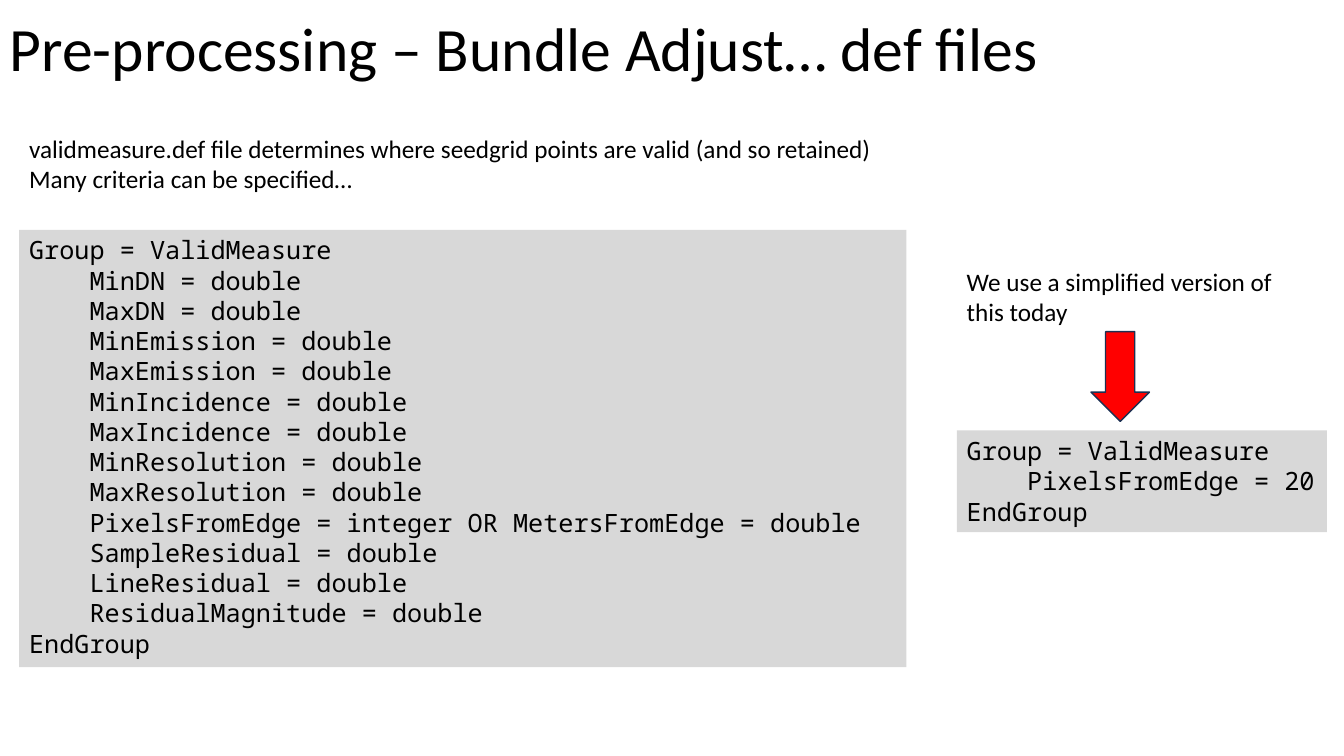
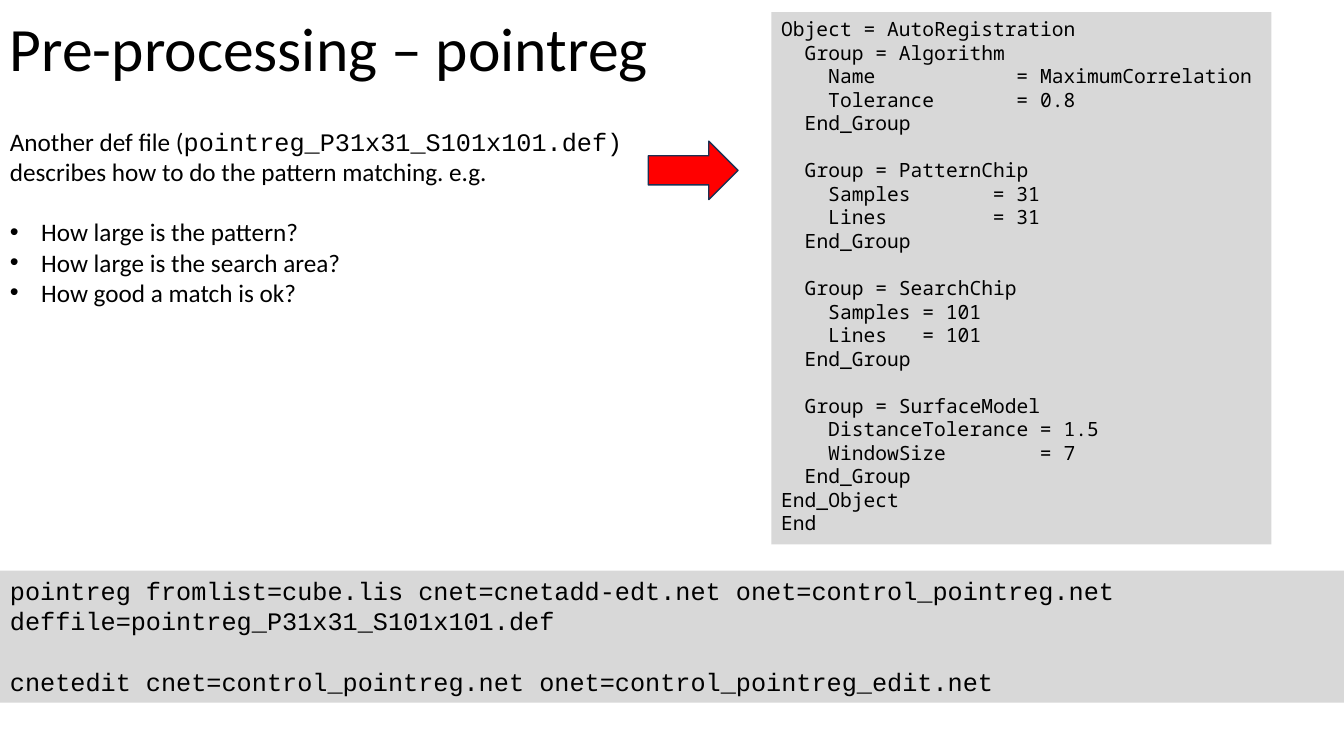
from lxml import etree
from pptx import Presentation
from pptx.dml.color import RGBColor
from pptx.enum.shapes import MSO_SHAPE
from pptx.enum.text import MSO_ANCHOR, PP_ALIGN
from pptx.oxml.ns import qn
from pptx.util import Inches, Pt

RECT = MSO_SHAPE.RECTANGLE
DOWN = MSO_SHAPE.DOWN_ARROW
RIGHT = MSO_SHAPE.RIGHT_ARROW
MIDDLE = MSO_ANCHOR.MIDDLE
TOP = MSO_ANCHOR.TOP
LEFT = PP_ALIGN.LEFT

BLACK = RGBColor(0x00, 0x00, 0x00)
GRAY = RGBColor(0xD8, 0xD8, 0xD8)
RED = RGBColor(0xFF, 0x00, 0x00)
NAVY = RGBColor(0x1C, 0x30, 0x52)

SANS = "Calibri"
MONO = "Noto Sans Mono"
TYPED = "Courier New"
WIDE = 13.33
BODY = 18
SMALL = 14
LEAD = 1.2
GLYPH = 0.6

LIMITS = [
    "MinDN = double",
    "MaxDN = double",
    "MinEmission = double",
    "MaxEmission = double",
    "MinIncidence = double",
    "MaxIncidence = double",
    "MinResolution = double",
    "MaxResolution = double",
    "PixelsFromEdge = integer OR MetersFromEdge = double",
    "SampleResidual = double",
    "LineResidual = double",
    "ResidualMagnitude = double",
]

GROUPS = [
    ("Algorithm", 20, [("Name", "MaximumCorrelation"), ("Tolerance", "0.8")]),
    ("PatternChip", 18, [("Samples", "31"), ("Lines", "31")]),
    ("SearchChip", 12, [("Samples", "101"), ("Lines", "101")]),
    ("SurfaceModel", 22, [("DistanceTolerance", "1.5"), ("WindowSize", "7")]),
]


def add_text(frame, text, size=BODY, font=SANS, gap=0, line=None,
             bullet=False, stops=()):
    para = frame.paragraphs[0]
    if para.runs:
        para = frame.add_paragraph()
    para.alignment = LEFT
    para.space_before = Pt(gap)
    if line:
        para.line_spacing = line
    runs = [(text, font)] if isinstance(text, str) else text
    for words, face in runs:
        run = para.add_run()
        run.text = words
        run.font.size = Pt(size)
        run.font.name = face
        run.font.color.rgb = BLACK
    props = para._p.get_or_add_pPr()
    if bullet:
        props.set("marL", str(Inches(0.31)))
        props.set("indent", str(-Inches(0.31)))
        etree.SubElement(props, qn("a:buFont"), typeface="Arial")
        etree.SubElement(props, qn("a:buChar"), char="•")
    if stops:
        tabs = etree.SubElement(props, qn("a:tabLst"))
        for col in stops:
            place = Pt(col * size * GLYPH)
            etree.SubElement(tabs, qn("a:tab"), pos=str(place), algn="l")


def add_box(slide, x, y, w, h, anchor=TOP):
    box = slide.shapes.add_textbox(Inches(x), Inches(y), Inches(w), Inches(h))
    frame = box.text_frame
    frame.word_wrap = True
    frame.vertical_anchor = anchor
    return frame


def add_shape(slide, kind, x, y, w, h, fill):
    shape = slide.shapes.add_shape(
        kind, Inches(x), Inches(y), Inches(w), Inches(h))
    shape.shadow.inherit = False
    shape.fill.solid()
    shape.fill.fore_color.rgb = fill
    return shape


def add_panel(slide, x, y, w, h):
    panel = add_shape(slide, RECT, x, y, w, h, GRAY)
    panel.line.fill.background()
    frame = panel.text_frame
    frame.word_wrap = True
    frame.vertical_anchor = TOP
    return frame


def add_arrow(slide, kind, x, y, w, h):
    arrow = add_shape(slide, kind, x, y, w, h, RED)
    arrow.line.color.rgb = NAVY
    arrow.line.width = Pt(1)


def add_slide(deck, title):
    slide = deck.slides.add_slide(deck.slide_layouts[6])
    frame = add_box(slide, 0, 0, WIDE, 1.03, MIDDLE)
    add_text(frame, title, size=44, line=0.9)
    return slide


def add_group(frame, lines):
    add_text(frame, "Group = ValidMeasure", font=MONO)
    for line in lines:
        add_text(frame, "\t" + line, font=MONO, stops=(4,))
    add_text(frame, "EndGroup", font=MONO)


def add_object(frame):
    code = {"size": SMALL, "font": MONO}
    add_text(frame, "Object = AutoRegistration", **code)
    for rank, (name, col, pairs) in enumerate(GROUPS):
        gap = SMALL * LEAD if rank else 0
        add_text(frame, f"\tGroup = {name}", gap=gap, stops=(2,), **code)
        for key, value in pairs:
            add_text(frame, f"\t\t{key}\t= {value}", stops=(2, 4, col), **code)
        add_text(frame, "\tEnd_Group", stops=(2,), **code)
    for line in ("End_Object", "End"):
        add_text(frame, line, **code)


def draw_valid(deck):
    slide = add_slide(deck, "Pre-processing – Bundle Adjust… def files")
    intro = add_box(slide, 0.19, 1.27, 8.65, 1.01)
    add_text(intro, "validmeasure.def file determines where seedgrid points "
                    "are valid (and so retained)")
    add_text(intro, "Many criteria can be specified…")
    add_group(add_panel(slide, 9.49, 4.27, 3.67, 1.01),
              ["PixelsFromEdge = 20"])
    add_group(add_panel(slide, 0.19, 2.28, 8.8, 4.34), LIMITS)
    note = add_box(slide, 9.49, 2.59, 3.24, 0.71)
    add_text(note, "We use a simplified version of this today")
    add_arrow(slide, DOWN, 10.82, 3.29, 0.58, 0.89)


def draw_match(deck):
    slide = add_slide(deck, "Pre-processing – pointreg")
    shell = add_panel(slide, 0, 5.66, WIDE, 1.31)
    add_text(shell, "pointreg fromlist=cube.lis cnet=cnetadd-edt.net "
                    "onet=control_pointreg.net "
                    "deffile=pointreg_P31x31_S101x101.def", font=TYPED)
    add_text(shell, "cnetedit cnet=control_pointreg.net "
                    "onet=control_pointreg_edit.net",
             font=TYPED, gap=BODY * LEAD)
    add_object(add_panel(slide, 7.65, 0.12, 4.96, 5.28))
    intro = add_box(slide, 0, 1.2, 7.16, 1.92)
    add_text(intro, [
        ("Another def file (", SANS),
        ("pointreg_P31x31_S101x101.def)", TYPED),
        (" describes how to do the pattern matching. e.g.", SANS),
    ])
    asks = ["How large is the pattern?", "How large is the search area?",
            "How good a match is ok?"]
    for rank, ask in enumerate(asks):
        add_text(intro, ask, bullet=True, gap=0 if rank else BODY * LEAD)
    add_arrow(slide, RIGHT, 6.43, 1.4, 0.89, 0.58)


def main():
    deck = Presentation()
    deck.slide_width = Inches(WIDE)
    deck.slide_height = Inches(7.5)
    draw_valid(deck)
    draw_match(deck)
    deck.save("out.pptx")


if __name__ == "__main__":
    main()
